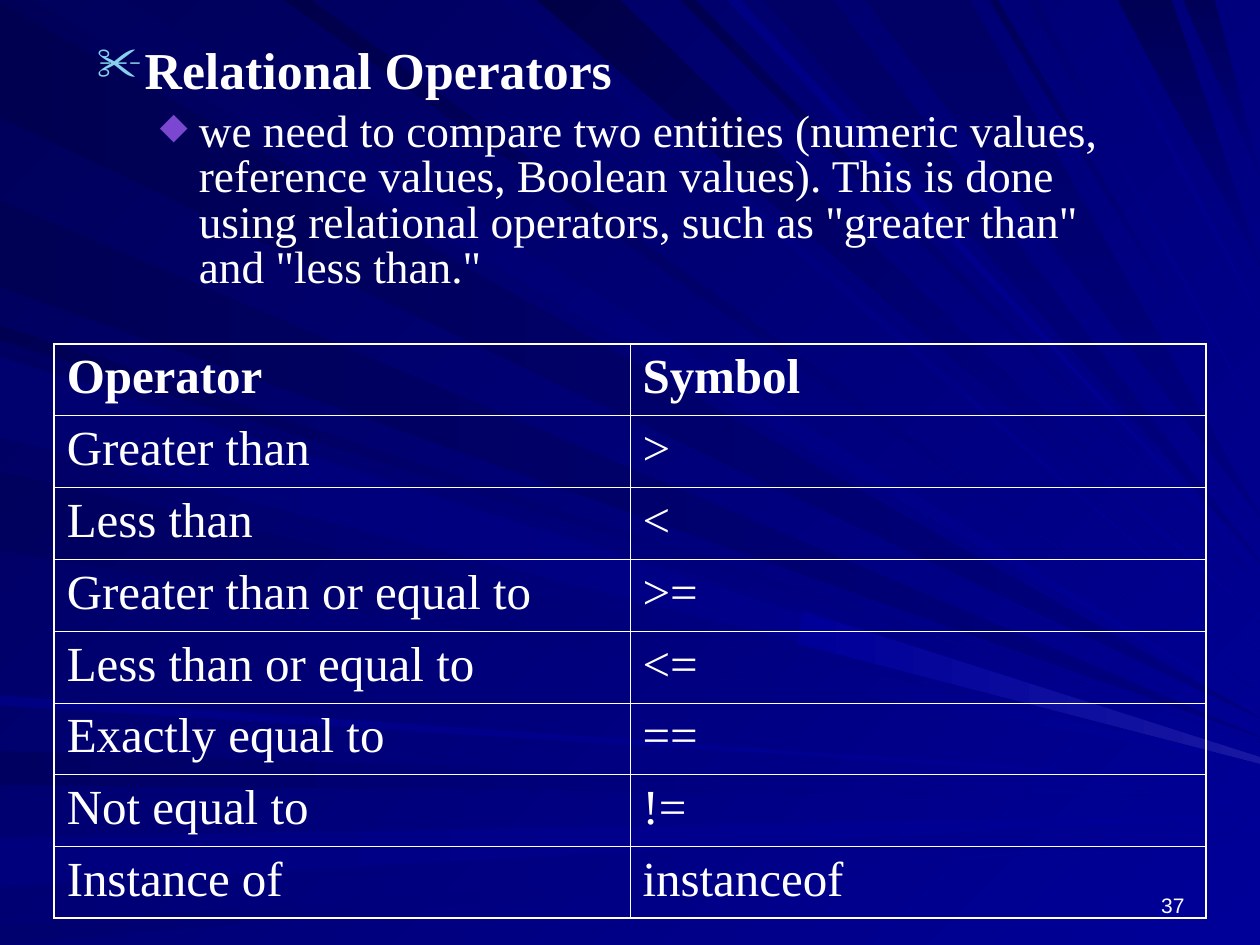
from lxml import etree
from pptx import Presentation
from pptx.dml.color import RGBColor
from pptx.enum.text import MSO_ANCHOR as Anchor, PP_ALIGN as Align
from pptx.oxml.ns import qn
from pptx.util import Inches, Pt

COLORS = {"text": "FFFFFF", "border": "FFFFFF", "scissors": "86D1EC", "diamond": "7B46D0",
          "back_dark": "000058", "navy": "000080", "blue": "000099", "glow": "1717A2"}
SERIF = "Times New Roman"
WIDTH, HEIGHT = 10, 7.5

# Rays narrow to a tip on the right edge: dark colour, light colour, angle,
# then where the ray starts and stops on its edge, and the height of its tip
LEFT_RAYS = [
    ("000051", "navy", 0, 0.02, 0.93, 5.7),
    ("000061", "blue", 0, 5.96, 6.23, 6.32),
    ("00007D", "blue", 0, 6.65, 7.04, 6.47),
    ("00006F", "blue", 0, 7.35, 7.5, 6.62),
    ("000053", "blue", 45, 2.58, 2.7, 5.89),
    ("000055", "navy", 0, 1.59, 2.28, 5.85),
    ("000061", "blue", 45, 2.78, 3.42, 6),
    ("00005D", "blue", 45, 3.74, 4.37, 6.06),
    ("000082", "blue", 0, 5.52, 5.6, 6.22),
    ("00006F", "blue", 0, 2.83, 3.47, 6.04),
]
TOP_RAYS = [
    ("00005D", "blue", 45, 0.26, 1.01, 5.63),
    ("00006B", "blue", 45, 3.98, 4.16, 5.18),
    ("000047", "blue", 45, 4.26, 4.92, 4.93),
    ("00004F", "blue", 45, 5.4, 5.52, 4.63),
    ("000065", "navy", 90, 6.06, 6.61, 4.46),
    ("000055", "navy", 90, 8.87, 9.3, 2.1),
    ("000059", "navy", 90, 9.39, 9.64, 1.4),
    ("00004A", "blue", 45, 2.25, 2.47, 5.5),
    ("000082", "blue", 45, 5.77, 5.88, 4.54),
    ("000065", "navy", 90, 6.86, 7.7, 4.1),
    ("000058", "blue", 45, 7.85, 7.92, 3.57),
    ("00006F", "blue", 45, 8.15, 8.24, 3.36),
    ("000079", "blue", 45, 8.65, 8.72, 2.53),
]


def paint(fill, start, end, angle):
    fill.gradient()
    fill.gradient_angle = (360 - angle) % 360
    for stop, color in zip(fill.gradient_stops, (start, end)):
        stop.color.rgb = RGBColor.from_string(color)


def write(para, text, **formats):
    span = para.add_run()
    span.text = text
    span.font.color.rgb = RGBColor.from_string(COLORS["text"])
    for name, value in formats.items():
        setattr(span.font, name, value)


deck = Presentation()
deck.slide_width, deck.slide_height = Inches(WIDTH), Inches(HEIGHT)
page = deck.slides.add_slide(deck.slide_layouts[6])

# Background with rays and one brighter streak
paint(page.background.fill, COLORS["back_dark"], COLORS["blue"], 45)
rays = [(dark, light, angle, [(x, 0), (stop, 0), (WIDTH, tip)])
        for dark, light, angle, x, stop, tip in TOP_RAYS]
rays += [(dark, light, angle, [(0, y), (0, stop), (WIDTH, tip)])
         for dark, light, angle, y, stop, tip in LEFT_RAYS]
rays.append((COLORS["blue"], "glow", 0, [(6.37, 4.85), (6.33, 5.11), (WIDTH, 6.06), (WIDTH, 6.01)]))
for dark, light, angle, corners in rays:
    points = [(Inches(x), Inches(y)) for x, y in corners]
    builder = page.shapes.build_freeform(*points[0])
    builder.add_line_segments(points[1:], close=True)
    ray = builder.convert_to_shape()
    ray.shadow.inherit = False
    ray.line.fill.background()
    paint(ray.fill, dark, COLORS[light], angle)

# Page number
box = page.shapes.add_textbox(Inches(7.17), Inches(6.83), Inches(2.33), Inches(0.5))
box.text_frame.word_wrap = True
box.text_frame.vertical_anchor = Anchor.BOTTOM
para = box.text_frame.paragraphs[0]
para.alignment = Align.RIGHT
write(para, "37", name="Arial", size=Pt(12))

# Heading and explanation
box = page.shapes.add_textbox(Inches(0.67), Inches(0.33), Inches(8.43), Inches(2.12))
frame = box.text_frame
frame.word_wrap = True
BULLETS = [
    ("Relational Operators", 29.6, True, 0, 0.38, -0.38, "✂", "scissors", 90),
    ("we need to compare two entities (numeric values, reference values, Boolean values). "
     "This is done using relational operators, such as \"greater than\" and \"less than.\"",
     25.9, False, 7, 0.81, -0.31, "◆", "diamond", 80),
]
for index, (text, size, bold, before, margin, indent, mark, color, percent) in enumerate(BULLETS):
    para = frame.add_paragraph() if index else frame.paragraphs[0]
    para.line_spacing = 0.83
    para.space_before = Pt(before)
    props = para._p.get_or_add_pPr()
    props.set("marL", str(Inches(margin)))
    props.set("indent", str(Inches(indent)))
    bullet_color = etree.SubElement(props, qn("a:buClr"))
    etree.SubElement(bullet_color, qn("a:srgbClr"), val=COLORS[color])
    etree.SubElement(props, qn("a:buSzPct"), val=str(percent * 1000))
    etree.SubElement(props, qn("a:buChar"), char=mark)
    write(para, text, name=SERIF, size=Pt(size), bold=bold)

# Operator table
OPERATORS = [
    ("Operator", "Symbol"),
    ("Greater than", ">"),
    ("Less than", "<"),
    ("Greater than or equal to", ">="),
    ("Less than or equal to", "<="),
    ("Exactly equal to", "=="),
    ("Not equal to", "!="),
    ("Instance of", "instanceof"),
]
last_row, last_col = len(OPERATORS) - 1, 1
table = page.shapes.add_table(len(OPERATORS), 2, Inches(0.43), Inches(2.73),
                              Inches(9.14), Inches(4.56)).table
table.first_row = table.horz_banding = False
for row, texts in enumerate(OPERATORS):
    for col, text in enumerate(texts):
        cell = table.cell(row, col)
        write(cell.text_frame.paragraphs[0], text, name=SERIF, size=Pt(28), bold=row == 0)
        props = cell._tc.get_or_add_tcPr()
        outer_edges = {"a:lnL": col == 0, "a:lnR": col == last_col,
                       "a:lnT": row == 0, "a:lnB": row == last_row}
        for tag, outer in outer_edges.items():
            edge = etree.SubElement(props, qn(tag), w=str(Pt(1.08 if outer else 0.45)))
            solid = etree.SubElement(edge, qn("a:solidFill"))
            etree.SubElement(solid, qn("a:srgbClr"), val=COLORS["border"])
        cell.fill.background()

deck.save("out.pptx")
